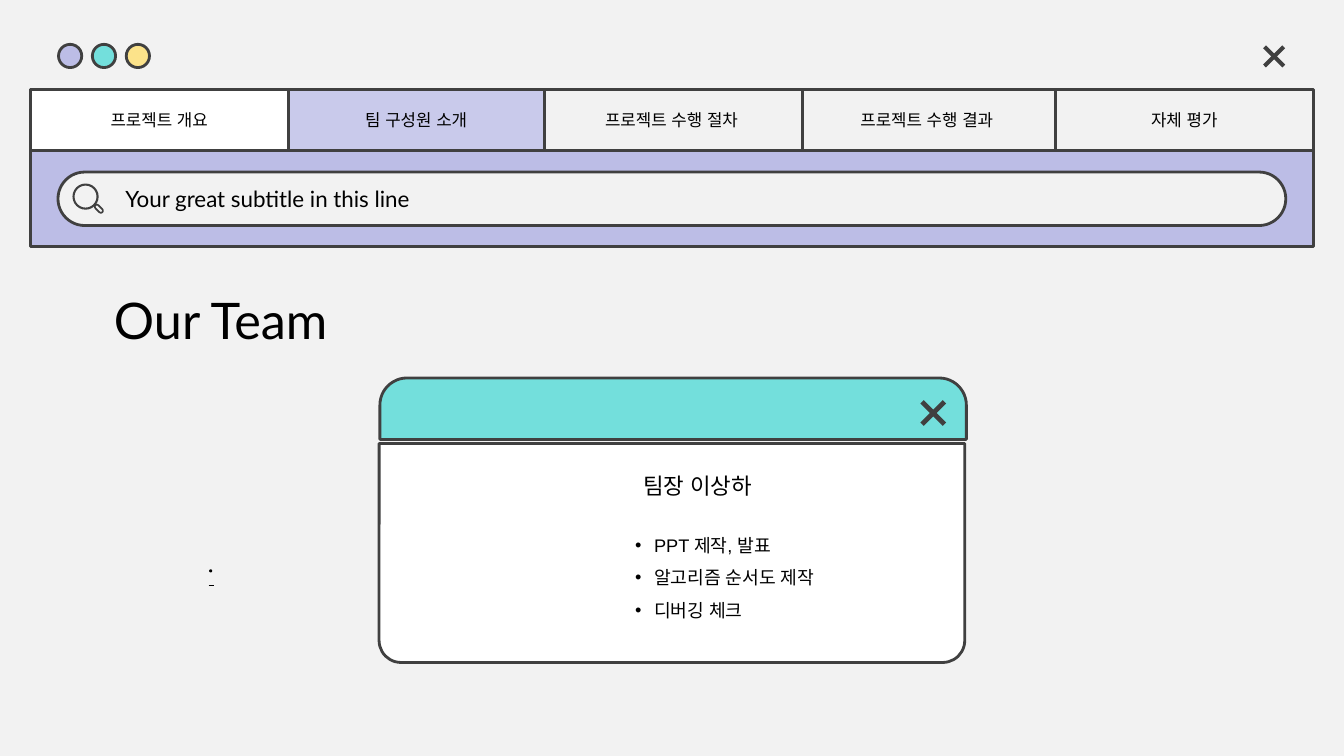
import lxml.etree
import pptx
import pptx.dml.color
import pptx.enum.shapes
import pptx.enum.text
import pptx.oxml.ns
import pptx.util

Pt = pptx.util.Pt
SHAPES = pptx.enum.shapes.MSO_SHAPE
ALIGN = pptx.enum.text.PP_ALIGN
ANCHOR = pptx.enum.text.MSO_ANCHOR
AUTO_SIZE = pptx.enum.text.MSO_AUTO_SIZE

COLORS = {
    "page": "F2F2F2", "ink": "404040", "text": "000000", "white": "FFFFFF",
    "lilac": "BCBDE6", "pale_lilac": "C9CAEB", "teal": "73DFDC", "yellow": "FCE38A",
}
TABS = [  # label, left edge, fill, left inset
    ("프로젝트 개요", 21.6, "white", 7.2),
    ("팀 구성원 소개", 205.9, "pale_lilac", 7.2),
    ("프로젝트 수행 절차", 388.8, "page", 4.6),
    ("프로젝트 수행 결과", 573.1, "page", 4.2),
    ("자체 평가", 753.8, "page", 7.2),
]
DUTIES = ["PPT 제작, 발표", "알고리즘 순서도 제작", "디버깅 체크"]


def color(name):
    return pptx.dml.color.RGBColor.from_string(COLORS[name])


def set_all(target, values):
    for name, value in values.items():
        setattr(target, name, value)


def add_element(parent, tag, **attributes):
    return lxml.etree.SubElement(parent, pptx.oxml.ns.qn(tag), attributes)


def paint(shape, fill=None, line=None, weight=2):
    shape.shadow.inherit = False
    for part, name in ((shape.fill, fill), (shape.line.fill, line)):
        if name:
            part.solid()
            part.fore_color.rgb = color(name)
        else:
            part.background()
    if line:
        shape.line.width = Pt(weight)


def add_shape(slide, kind, box, fill=None, line="ink", weight=2):
    shape = slide.shapes.add_shape(kind, *map(Pt, box))
    paint(shape, fill, line, weight)
    return shape


def write(shape, lines, size, font="Lato", align=ALIGN.LEFT, anchor=ANCHOR.TOP,
          inset=7.2, bullet=False):
    frame = shape.text_frame
    set_all(frame, {"word_wrap": True, "auto_size": AUTO_SIZE.NONE,
                    "vertical_anchor": anchor, "margin_left": Pt(inset)})
    frame.text = "\n".join(lines)
    for paragraph in frame.paragraphs:
        if bullet:
            properties = paragraph._p.get_or_add_pPr()
            properties.set("marL", str(Pt(13.5)))
            properties.set("indent", str(-Pt(13.5)))
            add_element(properties, "a:buChar", char="•")
        set_all(paragraph, {"alignment": align, "space_before": Pt(0),
                            "line_spacing": 1.5 if bullet else 1.0})
        for run in paragraph.runs:
            set_all(run.font, {"name": font, "size": Pt(size), "bold": False})
            run.font.color.rgb = color("text")
            # East Asian face
            add_element(run._r.get_or_add_rPr(), "a:ea", typeface="Arial")


def place(placeholder, box):
    set_all(placeholder, dict(zip(("left", "top", "width", "height"), map(Pt, box))))
    # Bring in front of the shapes drawn so far
    placeholder.element.getparent().append(placeholder.element)


def draw_cross(slide, left, top, size):
    arm = 0.13 * size
    bar = [(arm, 0), (size, size - arm), (size - arm, size), (0, arm)]
    for points in (bar, [(size - x, y) for x, y in bar]):
        corners = [(Pt(left + x), Pt(top + y)) for x, y in points]
        builder = slide.shapes.build_freeform(*corners[0])
        builder.add_line_segments(corners[1:], close=True)
        paint(builder.convert_to_shape(), "ink")


def draw_window_bar(slide, left, top, width):
    # Window buttons and close mark
    for index, name in enumerate(("lilac", "teal", "yellow")):
        add_shape(slide, SHAPES.OVAL, (left + 24.2 * index, top, 16.6, 16.6), name)
    draw_cross(slide, left + width - 15.8, top + 0.7, 15.8)


def draw_tabs(slide, top, width, height):
    for index, (label, left, fill, inset) in enumerate(TABS):
        right = TABS[index + 1][1] if index + 1 < len(TABS) else left + width
        tab = add_shape(slide, SHAPES.RECTANGLE, (left, top, right - left, height), fill)
        write(tab, [label], 12, align=ALIGN.CENTER, anchor=ANCHOR.MIDDLE, inset=inset)


def draw_search(slide, left, top, width, height):
    add_shape(slide, SHAPES.RECTANGLE, (left, top, width, height), "lilac")
    field = add_shape(slide, SHAPES.ROUNDED_RECTANGLE,
                      (left + 19.8, top + 15.6, 877, 38.2), "page")
    field.adjustments[0] = 0.5
    write(field, ["Your great subtitle in this line"], 16, anchor=ANCHOR.MIDDLE, inset=42.5)
    # Magnifier: ring and tilted handle
    ring = add_shape(slide, SHAPES.DONUT, (left + 30.2, top + 23.8, 18.7, 18.7), "ink", None)
    ring.adjustments[0] = 0.08
    handle = add_shape(slide, SHAPES.ROUNDED_RECTANGLE,
                       (left + 45.5, top + 40.3, 7, 3), "page", weight=1.2)
    handle.adjustments[0] = 0.5
    handle.rotation = 45


def draw_team_card(slide, left, top, width, height):
    # Window body, then its title bar
    body = add_shape(slide, SHAPES.ROUND_2_SAME_RECTANGLE,
                     (left, top + 46.8, width, height - 46.8), "white")
    body.adjustments[0], body.adjustments[1] = 0, 0.1
    bar = add_shape(slide, SHAPES.ROUND_2_SAME_RECTANGLE,
                    (left + 0.6, top, width + 0.6, 43.9), "teal")
    bar.adjustments[0] = 0.44
    draw_cross(slide, left + 386.6, top + 15.8, 18.4)
    # Member name and duties
    member = slide.shapes.add_textbox(*map(Pt, (left + 181.4, top + 64, 226.8, 26.6)))
    write(member, ["팀장 이상하"], 16)
    duties = slide.placeholders[1]
    place(duties, (left + 175.7, top + 100, 235.4, 77.8))
    write(duties, DUTIES, 13, font="Arial", bullet=True)


def draw_specks(slide, left, top):
    # Dot above a hairline
    add_shape(slide, SHAPES.OVAL, (left + 0.4, top, 2.2, 2.2), "text", None)
    hairline = slide.shapes.add_connector(
        pptx.enum.shapes.MSO_CONNECTOR.STRAIGHT,
        *map(Pt, (left, top + 10.9, left + 3.6, top + 10.9)))
    hairline.line.color.rgb = color("text")
    hairline.line.width = Pt(0.1)
    add_element(hairline.element.spPr, "a:effectLst")


def main():
    presentation = pptx.Presentation()
    set_all(presentation, {"slide_width": Pt(960), "slide_height": Pt(540)})
    slide = presentation.slides.add_slide(presentation.slide_layouts[1])
    slide.background.fill.solid()
    slide.background.fill.fore_color.rgb = color("page")

    draw_window_bar(slide, 41.8, 31.7, 876.2)
    draw_tabs(slide, 64.1, 184.3, 43.2)
    draw_search(slide, 21.6, 107.3, 916.6, 69.1)
    place(slide.shapes.title, (74.2, 203, 315.4, 51.1))
    write(slide.shapes.title, ["Our Team"], 36)
    draw_team_card(slide, 270.8, 270, 418.3, 203.2)
    draw_specks(slide, 149, 406.7)
    presentation.save("out.pptx")


if __name__ == "__main__":
    main()
